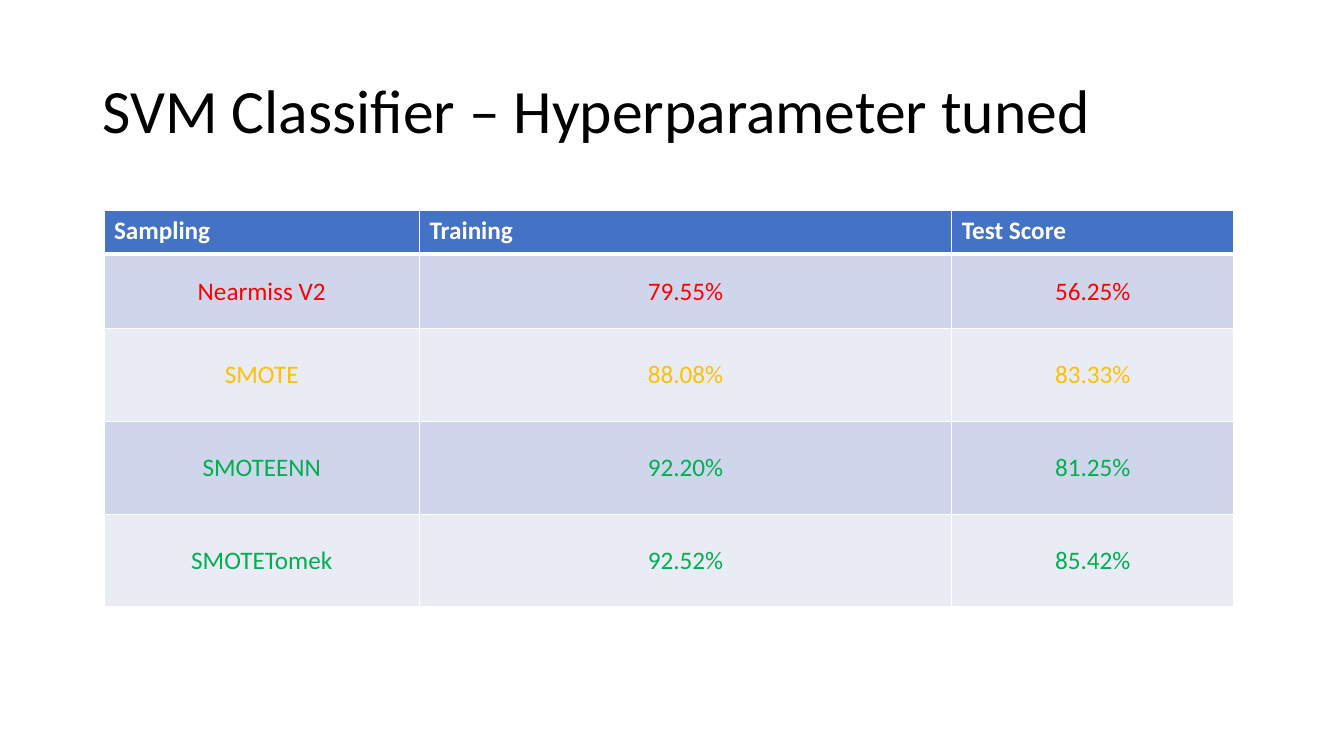
from dataclasses import dataclass

from lxml.etree import SubElement
from pptx import Presentation
from pptx.dml.color import RGBColor
from pptx.enum.text import MSO_ANCHOR, MSO_AUTO_SIZE, PP_ALIGN
from pptx.oxml.ns import qn
from pptx.slide import Slide
from pptx.table import _Cell as Cell
from pptx.text.text import TextFrame
from pptx.util import Pt

FONT = "Calibri"
WHITE = "FFFFFF"
BLUE = "4472C4"
BANDS = ("CFD5EA", "E9EBF5")
WIDTHS = (225.36, 380.16, 201.6)


@dataclass
class Row:
    texts: tuple[str, str, str]
    ink: str
    height: float
    head: bool = False


ROWS = (
    Row(("Sampling", "Training", "Test Score"), WHITE, 30.96, head=True),
    Row(("Nearmiss V2", "79.55%", "56.25%"), "FF0000", 53.28),
    Row(("SMOTE", "88.08%", "83.33%"), "FFC000", 66.24),
    Row(("SMOTEENN", "92.20%", "81.25%"), "00B050", 66.24),
    Row(("SMOTETomek", "92.52%", "85.42%"), "00B050", 66.24),
)


def color(code: str) -> RGBColor:
    return RGBColor.from_string(code)


def write(frame: TextFrame, text: str, size: float, ink: str,
          align: PP_ALIGN, bold: bool = False) -> None:
    frame.text = text
    para = frame.paragraphs[0]
    para.alignment = align
    font = para.runs[0].font
    font.name, font.size, font.bold = FONT, Pt(size), bold
    font.color.rgb = color(ink)


def set_edges(cell: Cell, top: float, base: float) -> None:
    """Draw white cell borders; call before the fill is set."""
    props = cell._tc.get_or_add_tcPr()
    for tag, width in (("lnL", 1), ("lnR", 1), ("lnT", top), ("lnB", base)):
        line = SubElement(props, qn(f"a:{tag}"), w=str(Pt(width)))
        fill = SubElement(line, qn("a:solidFill"))
        SubElement(fill, qn("a:srgbClr"), val=WHITE)


def add_title(slide: Slide, text: str) -> None:
    title = slide.shapes.title
    title.left, title.top = Pt(66), Pt(28.75)
    title.width, title.height = Pt(828), Pt(104.4)
    frame = title.text_frame
    write(frame, text, 44, "000000", PP_ALIGN.LEFT)
    frame.word_wrap = True
    frame.auto_size = MSO_AUTO_SIZE.NONE
    frame.vertical_anchor = MSO_ANCHOR.MIDDLE
    frame.paragraphs[0].line_spacing = 0.9


def add_scores(slide: Slide, rows: tuple[Row, ...]) -> None:
    table = slide.shapes.add_table(
        len(rows), len(WIDTHS), Pt(74.3), Pt(150.6),
        Pt(sum(WIDTHS)), Pt(sum(row.height for row in rows))).table
    for column, width in zip(table.columns, WIDTHS):
        column.width = Pt(width)
    for r, row in enumerate(rows):
        table.rows[r].height = Pt(row.height)
        for c, text in enumerate(row.texts):
            cell = table.cell(r, c)
            align = PP_ALIGN.LEFT if row.head else PP_ALIGN.CENTER
            write(cell.text_frame, text, 18, row.ink, align, row.head)
            cell.vertical_anchor = (
                MSO_ANCHOR.TOP if row.head else MSO_ANCHOR.MIDDLE)
            set_edges(cell, 3 if r == 1 else 1, 3 if row.head else 1)
            cell.fill.solid()
            cell.fill.fore_color.rgb = color(
                BLUE if row.head else BANDS[(r - 1) % 2])


def main() -> None:
    deck = Presentation()
    deck.slide_width, deck.slide_height = Pt(960), Pt(540)
    slide = deck.slides.add_slide(deck.slide_layouts.get_by_name("Title Only"))
    add_title(slide, "SVM Classifier – Hyperparameter tuned")
    add_scores(slide, ROWS)
    deck.save("out.pptx")


if __name__ == "__main__":
    main()
